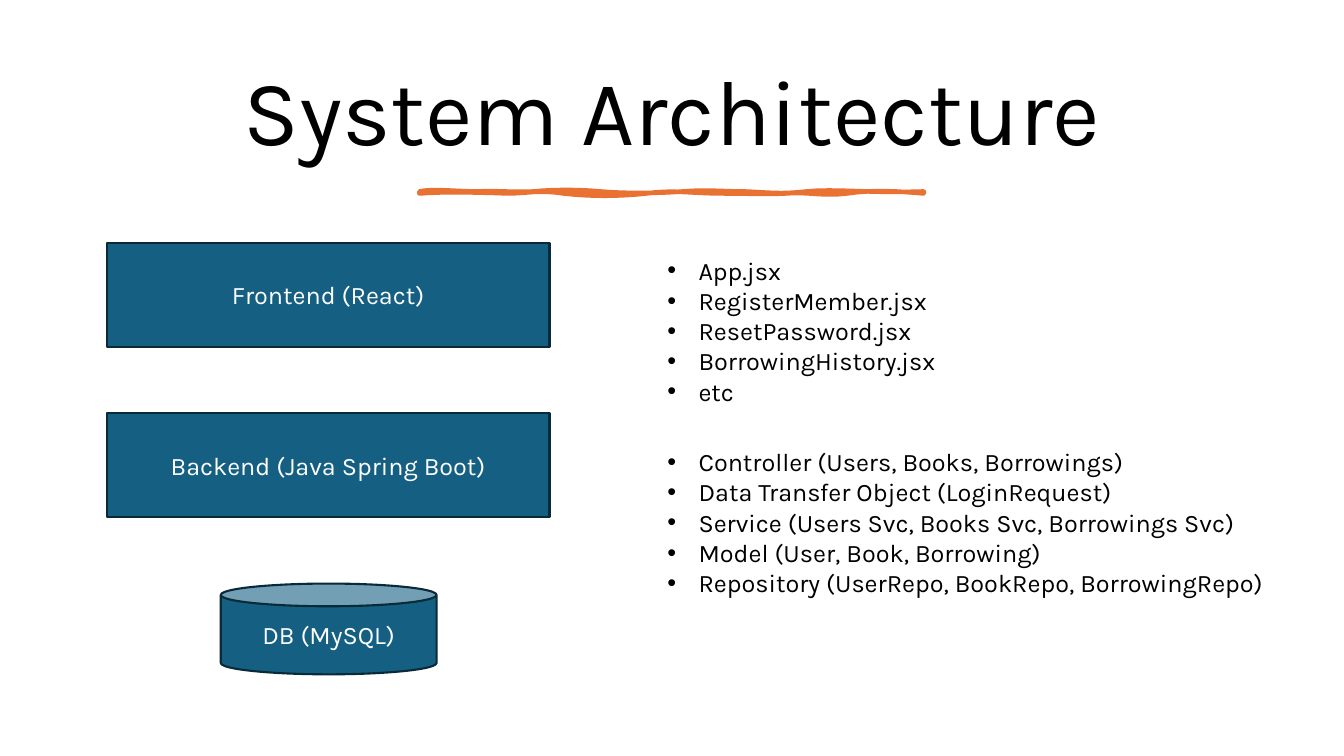
from lxml import etree
from pptx import Presentation
from pptx import util as u
from pptx.dml.color import RGBColor
from pptx.enum import shapes, text
from pptx.oxml import ns

PX = 9144
FONT = "Karla"
BLACK = RGBColor(0x00, 0x00, 0x00)
WHITE = RGBColor(0xFF, 0xFF, 0xFF)
ORANGE = RGBColor(0xE9, 0x71, 0x32)
BLUE = RGBColor(0x15, 0x60, 0x82)
NAVY = RGBColor(0x09, 0x2A, 0x39)

STROKE_START = (416, 190)
STROKE_CURVES = [
    ((428, 187), (454, 190), (473, 190)),
    ((492, 189), (509, 191), (529, 190)),
    ((549, 188), (574, 188), (596, 190)),
    ((617, 192), (653, 192), (677, 190)),
    ((702, 188), (714, 190), (739, 190)),
    ((763, 191), (774, 193), (800, 190)),
    ((826, 187), (867, 192), (916, 190)),
    ((917, 191), (916, 191), (916, 192)),
    ((895, 190), (865, 188), (840, 192)),
    ((815, 195), (801, 190), (779, 192)),
    ((756, 193), (747, 192), (717, 192)),
    ((687, 192), (667, 188), (641, 192)),
    ((614, 195), (585, 195), (559, 192)),
    ((534, 188), (523, 192), (503, 192)),
    ((483, 191), (438, 190), (416, 192)),
]
CURVE_STEPS = 8

FRONTEND_FILES = [
    "App.jsx",
    "RegisterMember.jsx",
    "ResetPassword.jsx",
    "BorrowingHistory.jsx",
    "etc",
]
BACKEND_LAYERS = [
    "Controller (Users, Books, Borrowings)",
    "Data Transfer Object (LoginRequest)",
    "Service (Users Svc, Books Svc, Borrowings Svc)",
    "Model (User, Book, Borrowing)",
    "Repository (UserRepo, BookRepo, BorrowingRepo)",
]


def px(*lengths):
    return [u.Emu(length * PX) for length in lengths]


def add_span(para, words, size, color):
    span = para.add_run()
    span.text = words
    span.font.name = FONT
    span.font.size = u.Pt(size)
    span.font.color.rgb = color


def paint(shape, fill, line, weight):
    shape.shadow.inherit = False
    shape.fill.solid()
    shape.fill.fore_color.rgb = fill
    shape.line.color.rgb = line
    shape.line.width = u.Pt(weight)


def add_title(page, words):
    box = page.shapes.add_textbox(*px(70, 46, 1193, 137))
    frame = box.text_frame
    frame.word_wrap = True
    frame.vertical_anchor = text.MSO_ANCHOR.MIDDLE
    para = frame.paragraphs[0]
    para.alignment = text.PP_ALIGN.CENTER
    para.line_spacing = 0.9
    add_span(para, words, 66, BLACK)


def curve_points(start, curves):
    points = []
    for first, second, end in curves:
        for step in range(1, CURVE_STEPS + 1):
            t = step / CURVE_STEPS
            weights = ((1 - t) ** 3, 3 * t * (1 - t) ** 2, 3 * t * t * (1 - t), t ** 3)
            controls = (start, first, second, end)
            points.append(tuple(
                round(PX * sum(w * c[axis] for w, c in zip(weights, controls)))
                for axis in (0, 1)
            ))
        start = end
    return points


def add_brush_stroke(page):
    builder = page.shapes.build_freeform(*px(*STROKE_START))
    builder.add_line_segments(curve_points(STROKE_START, STROKE_CURVES), close=True)
    paint(builder.convert_to_shape(), ORANGE, ORANGE, 3.25)


def add_tier(page, kind, words, *place):
    tier = page.shapes.add_shape(kind, *px(*place))
    paint(tier, BLUE, NAVY, 1.5)
    frame = tier.text_frame
    frame.word_wrap = True
    frame.vertical_anchor = text.MSO_ANCHOR.MIDDLE
    para = frame.paragraphs[0]
    para.alignment = text.PP_ALIGN.CENTER
    add_span(para, words, 18, WHITE)


def add_bullet(para):
    props = para._p.get_or_add_pPr()
    indent = 31 * PX
    props.set("marL", str(indent))
    props.set("indent", str(-indent))
    etree.SubElement(props, ns.qn("a:buFont")).set("typeface", "Arial")
    etree.SubElement(props, ns.qn("a:buChar")).set("char", "•")


def add_list(page, items, top):
    box = page.shapes.add_textbox(*px(652, top, 611, 162))
    frame = box.text_frame
    frame.word_wrap = True
    frame.auto_size = text.MSO_AUTO_SIZE.SHAPE_TO_FIT_TEXT
    for index, item in enumerate(items):
        para = frame.add_paragraph() if index else frame.paragraphs[0]
        add_bullet(para)
        add_span(para, item, 18, BLACK)


def main():
    deck = Presentation()
    deck.slide_width, deck.slide_height = px(1333, 750)
    page = deck.slides.add_slide(deck.slide_layouts[6])
    add_title(page, "System Architecture")
    add_brush_stroke(page)
    kinds = shapes.MSO_SHAPE
    add_tier(page, kinds.RECTANGLE, "Frontend (React)", 106, 241, 439, 103)
    add_tier(page, kinds.RECTANGLE, "Backend (Java Spring Boot)", 106, 410, 439, 103)
    add_tier(page, kinds.CAN, "DB (MySQL)", 219, 579, 214, 90)
    add_list(page, BACKEND_LAYERS, 438)
    add_list(page, FRONTEND_FILES, 248)
    deck.save("out.pptx")


if __name__ == "__main__":
    main()
